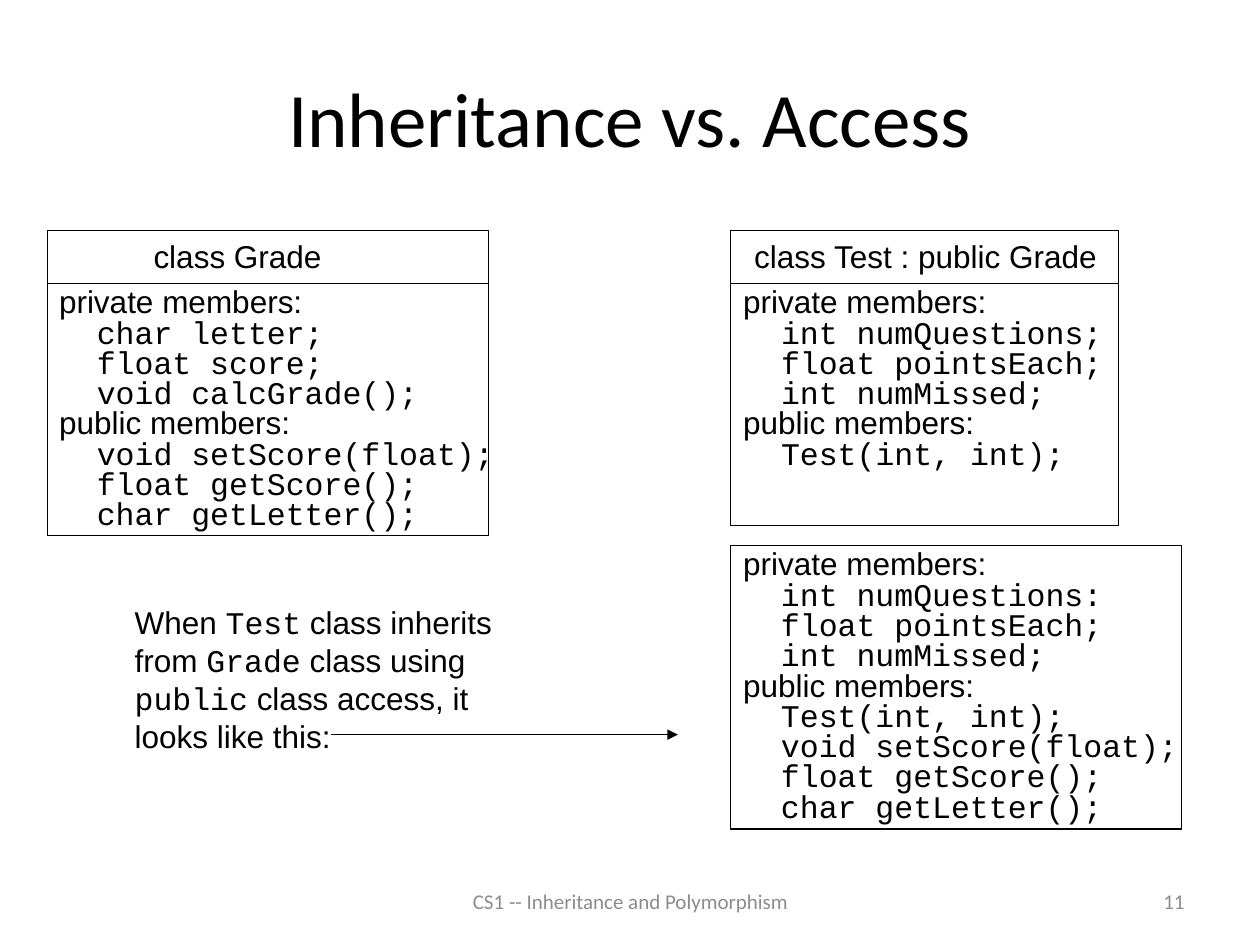
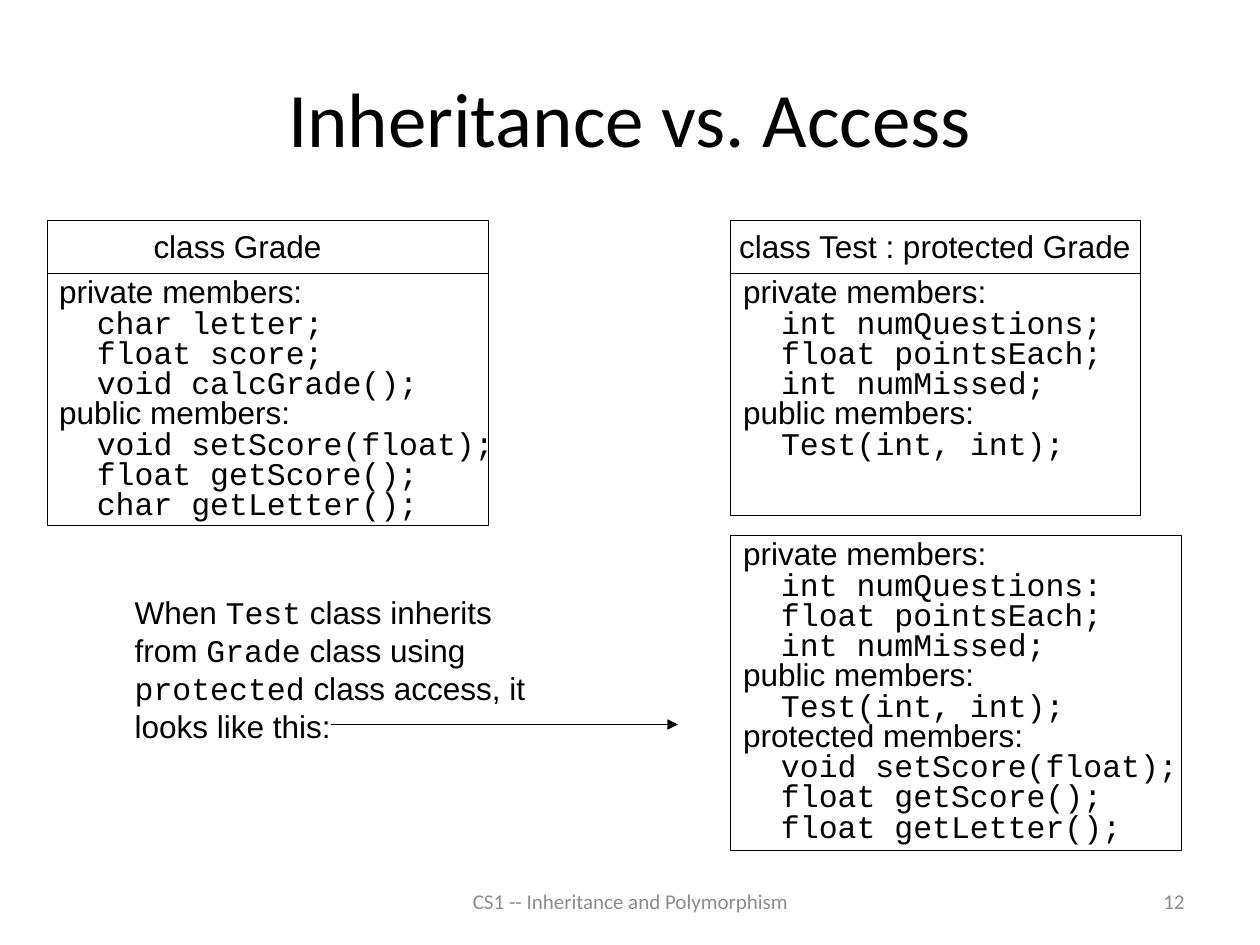
from pptx import Presentation
from pptx.dml.color import RGBColor
from pptx.enum.shapes import MSO_CONNECTOR, MSO_SHAPE
from pptx.enum.text import MSO_ANCHOR, PP_ALIGN
from pptx.oxml.ns import qn
from pptx.util import Inches, Pt
from lxml import etree

BLACK = RGBColor(0x00, 0x00, 0x00)
GRAY = RGBColor(0x8C, 0x8C, 0x8C)
LEFT, CENTER, RIGHT = PP_ALIGN.LEFT, PP_ALIGN.CENTER, PP_ALIGN.RIGHT
TOP, MIDDLE = MSO_ANCHOR.TOP, MSO_ANCHOR.MIDDLE
RECTANGLE, STRAIGHT = MSO_SHAPE.RECTANGLE, MSO_CONNECTOR.STRAIGHT
HEADING, BODY, CODE = "Calibri", "Arial", "Courier New"
CODE_INDENT = Inches(0.3)
HEADER_HEIGHT = 0.42
GRADE_LEFT, TEST_LEFT = 0.38, 5.8

GRADE_MEMBERS = [
    ("private members:", ["char letter;", "float score;", "void calcGrade();"]),
    ("public members:", ["void setScore(float);", "float getScore();", "char getLetter();"]),
]
TEST_MEMBERS = [
    ("private members:", ["int numQuestions;", "float pointsEach;", "int numMissed;"]),
    ("public members:", ["Test(int, int);"]),
]
INHERITED_PRIVATE = ("private members:", ["int numQuestions:", "float pointsEach;", "int numMissed;"])
SLIDES = [
    {
        "number": "11", "access": "public", "top": 1.83, "test_width": 3.08,
        "header_left": 5.72, "header_width": 3.25, "result_height": 2.25,
        "result": [
            INHERITED_PRIVATE,
            ("public members:", ["Test(int, int);", "void setScore(float);",
                                 "float getScore();", "char getLetter();"]),
        ],
    },
    {
        "number": "12", "access": "protected", "top": 1.75, "test_width": 3.25,
        "header_left": 5.63, "header_width": 3.58, "result_height": 2.5,
        "result": [
            INHERITED_PRIVATE,
            ("public members:", ["Test(int, int);"]),
            ("protected members:", ["void setScore(float);", "float getScore();",
                                    "float getLetter();"]),
        ],
    },
]


def add_text(page, area, lines, size=18, color=BLACK, align=LEFT, anchor=TOP, wrap=True):
    box = page.shapes.add_textbox(*[Inches(length) for length in area])
    frame = box.text_frame
    frame.word_wrap = wrap
    frame.vertical_anchor = anchor
    for index, spans in enumerate(lines):
        para = frame.paragraphs[0] if index == 0 else frame.add_paragraph()
        para.alignment = align
        for text, font in spans:
            span = para.add_run()
            span.text = text
            span.font.name = font
            span.font.size = Pt(size)
            span.font.color.rgb = color
    return frame


def add_members(page, text_area, frame_area, groups, wrap=True):
    lines = []
    for label, members in groups:
        lines.append([(label, BODY)])
        lines.extend([(member, CODE)] for member in members)
    frame = add_text(page, text_area, lines, wrap=wrap)
    for para in frame.paragraphs:
        para.line_spacing = 0.8
        if para.runs[0].font.name == CODE:
            para._p.get_or_add_pPr().set("marL", str(CODE_INDENT))
    left, top, width, height = frame_area
    outlines = [frame_area]
    if groups in (GRADE_MEMBERS, TEST_MEMBERS):
        outlines.append((left, top - HEADER_HEIGHT, width, HEADER_HEIGHT))
    for area in outlines:
        outline = page.shapes.add_shape(RECTANGLE, *[Inches(length) for length in area])
        outline.shadow.inherit = False
        outline.fill.background()
        outline.line.color.rgb = BLACK
        outline.line.width = Pt(0.75)


deck = Presentation()
deck.slide_width = Inches(10)
deck.slide_height = Inches(7.5)

for content in SLIDES:
    page = deck.slides.add_slide(deck.slide_layouts[6])
    access = content["access"]
    top = content["top"]
    body_top = top + HEADER_HEIGHT
    result_top = top + 2.5
    arrow_y = Inches(top + 4)

    add_text(page, (0.5, 0.3, 9, 1.25), [[("Inheritance vs. Access", HEADING)]],
             size=44, align=CENTER, anchor=MIDDLE)
    add_text(page, (3.42, 6.95, 3.17, 0.4), [[("CS1 -- Inheritance and Polymorphism", HEADING)]],
             size=12, color=GRAY, align=CENTER, anchor=MIDDLE)
    add_text(page, (7.17, 6.95, 2.33, 0.4), [[(content["number"], HEADING)]],
             size=12, color=GRAY, align=RIGHT, anchor=MIDDLE)

    add_members(page, (0.37, body_top, 3.65, 2.02), (GRADE_LEFT, body_top, 3.5, 2),
                GRADE_MEMBERS, wrap=False)
    add_text(page, (1.09, top, 1.59, 0.4), [[("class Grade", BODY)]], align=CENTER)

    add_members(page, (TEST_LEFT, body_top, 3.08, 1.54),
                (TEST_LEFT, body_top, content["test_width"], 1.92), TEST_MEMBERS)
    add_text(page, (content["header_left"], top, content["header_width"], 0.4),
             [[(f"class Test : {access} Grade", BODY)]], align=CENTER)

    add_text(page, (0.97, top + 2.91, 3.42, 1.3), [
        [("When ", BODY), ("Test", CODE), (" class inherits", BODY)],
        [("from ", BODY), ("Grade", CODE), (" class using", BODY)],
        [(access, CODE), (" class access, it looks like this:", BODY)],
    ])

    result_height = content["result_height"]
    add_members(page, (TEST_LEFT, result_top, 3.83, result_height),
                (TEST_LEFT, result_top, 3.58, result_height), content["result"])

    arrow = page.shapes.add_connector(STRAIGHT, Inches(2.63), arrow_y, Inches(5.38), arrow_y)
    arrow.line.color.rgb = BLACK
    arrow.line.width = Pt(0.75)
    etree.SubElement(arrow.line._get_or_add_ln(), qn("a:tailEnd"), type="triangle")
    etree.SubElement(arrow._element.spPr, qn("a:effectLst"))

deck.save("out.pptx")
